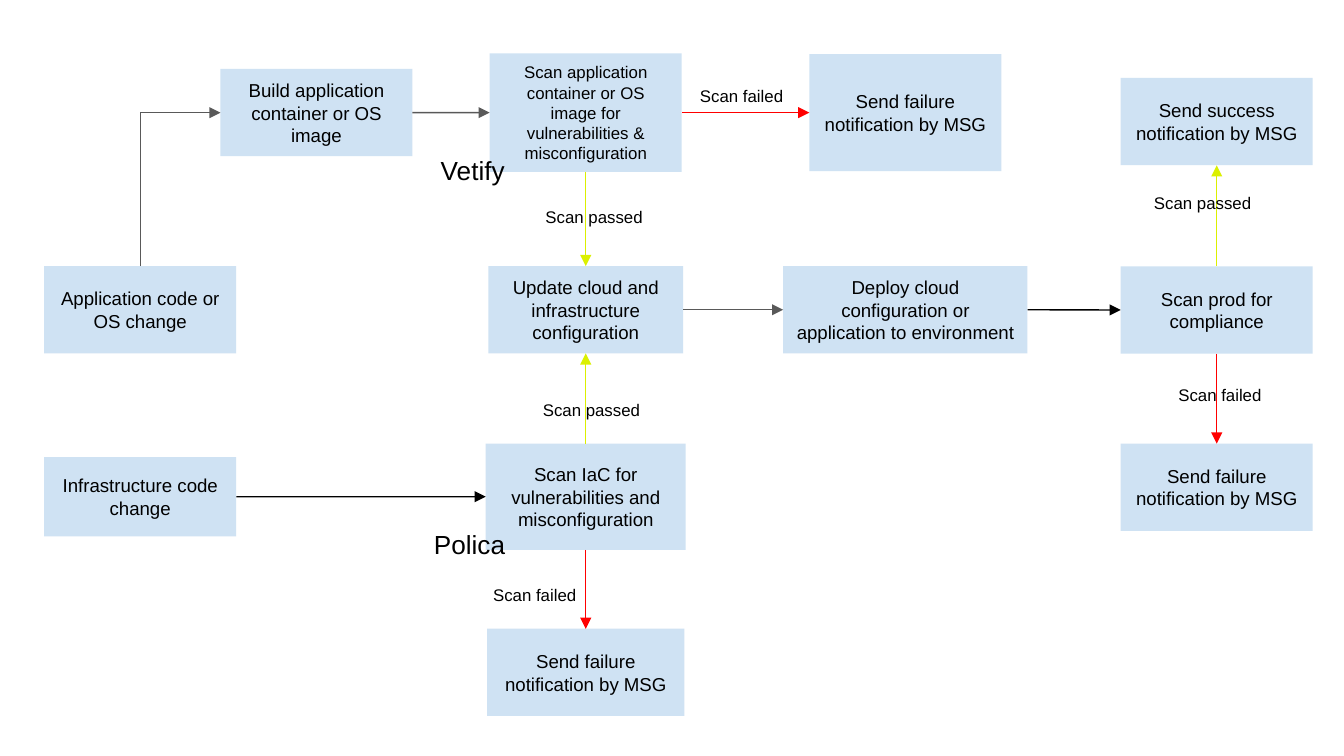
from dataclasses import dataclass
from typing import NamedTuple

from lxml.etree import SubElement
from pptx import Presentation
from pptx.dml.color import RGBColor
from pptx.enum.shapes import MSO_CONNECTOR, MSO_SHAPE
from pptx.enum.text import MSO_ANCHOR, PP_ALIGN
from pptx.oxml.ns import qn
from pptx.util import Cm, Pt


@dataclass(frozen=True)
class Theme:
    font: str = "Arial"
    text: str = "000000"
    step: str = "CFE2F3"
    flow: str = "595959"
    strong: str = "000000"
    passed: str = "DBF000"
    failed: str = "FF0000"
    line: float = 0.75
    small: int = 9
    body: int = 10
    tool: int = 14


class Box(NamedTuple):
    left: float
    top: float
    width: float
    height: float


THEME = Theme()
TOP, LEFT, BOTTOM, RIGHT = range(4)
STEP_WIDTH, STEP_HEIGHT = 3.63, 1.65
FAILURE = "Send failure notification by MSG"


def write(frame, text, size):
    para = frame.paragraphs[0]
    span = para.add_run()
    span.text = text
    span.font.name = THEME.font
    span.font.size = Pt(size)
    span.font.color.rgb = RGBColor.from_string(THEME.text)
    return para


def add_step(page, box, text, x, y, width=STEP_WIDTH, height=STEP_HEIGHT, size=THEME.body):
    step = page.shapes.add_shape(
        MSO_SHAPE.RECTANGLE,
        Cm(box.left + x - width / 2), Cm(box.top + y - height / 2),
        Cm(width), Cm(height),
    )
    step.shadow.inherit = False
    step.fill.solid()
    step.fill.fore_color.rgb = RGBColor.from_string(THEME.step)
    step.line.fill.background()
    frame = step.text_frame
    frame.word_wrap = True
    frame.vertical_anchor = MSO_ANCHOR.MIDDLE
    frame.margin_left = frame.margin_right = Cm(0.25)
    frame.margin_top = frame.margin_bottom = Cm(0.25)
    write(frame, text, size).alignment = PP_ALIGN.CENTER
    return step


def add_label(page, box, text, x, y, width, height=0.64, size=THEME.small):
    label = page.shapes.add_textbox(
        Cm(box.left + x), Cm(box.top + y), Cm(width), Cm(height))
    label.text_frame.word_wrap = True
    write(label.text_frame, text, size)


def connect(page, start, start_side, end, end_side, color, kind=MSO_CONNECTOR.STRAIGHT):
    arrow = page.shapes.add_connector(kind, 0, 0, 0, 0)
    arrow.begin_connect(start, start_side)
    arrow.end_connect(end, end_side)
    arrow.line.width = Pt(THEME.line)
    arrow.line.color.rgb = RGBColor.from_string(color)
    SubElement(arrow.line._get_or_add_ln(), qn("a:tailEnd"), type="triangle")
    SubElement(arrow._element.spPr, qn("a:effectLst"))
    return arrow


def connect_up_and_right(page, start, end, color):
    arrow = connect(page, start, TOP, end, LEFT, color, MSO_CONNECTOR.ELBOW)
    left, top, width, height = arrow.left, arrow.top, arrow.width, arrow.height
    arrow.left = left + (width - height) // 2
    arrow.top = top + (height - width) // 2
    arrow.width, arrow.height = height, width
    properties = arrow._element.spPr
    frame = properties.find(qn("a:xfrm"))
    frame.set("rot", "16200000")
    frame.set("flipV", "0")
    properties.find(qn("a:prstGeom")).set("prst", "bentConnector2")


def application_lane(page, box):
    middle = box.height / 2
    build = add_step(page, box, "Build application container or OS image", 1.81, middle)
    scan = add_step(
        page, box,
        "Scan application container or OS image for vulnerabilities & misconfiguration",
        6.9, middle, height=2.24, size=THEME.small)
    failure = add_step(page, box, FAILURE, 12.94, middle, height=2.21)
    connect(page, build, RIGHT, scan, LEFT, THEME.flow)
    connect(page, scan, RIGHT, failure, LEFT, THEME.failed)
    add_label(page, box, "Scan failed", 8.81, 0.49, 2.44)
    add_label(page, box, "Scan passed", 5.89, 2.77, 2.87)
    add_label(page, box, "Vetify", 3.91, 1.78, 2.2, 0.86, THEME.tool)
    return build, scan


def delivery_lane(page, box):
    middle = box.height / 2
    change = add_step(page, box, "Application code or OS change", 1.81, middle)
    update = add_step(
        page, box, "Update cloud and infrastructure configuration",
        10.23, middle, width=3.68)
    deploy = add_step(
        page, box, "Deploy cloud configuration or application to environment",
        16.27, middle, width=4.62)
    connect(page, update, RIGHT, deploy, LEFT, THEME.flow)
    return change, update, deploy


def infrastructure_lane(page, box):
    row = 1.01
    change = add_step(page, box, "Infrastructure code change", 1.81, row, height=1.5)
    scan = add_step(
        page, box, "Scan IaC for vulnerabilities and misconfiguration",
        10.23, row, width=3.78, height=2.01)
    failure = add_step(page, box, FAILURE, 10.23, 4.33, width=3.73)
    connect(page, change, RIGHT, scan, LEFT, THEME.strong)
    connect(page, scan, BOTTOM, failure, TOP, THEME.failed)
    add_label(page, box, "Scan passed", 9.17, -0.94, 2.87)
    add_label(page, box, "Scan failed", 8.23, 2.54, 2.44)
    add_label(page, box, "Polica", 7.11, 1.48, 3.05, 0.86, THEME.tool)
    return scan


def compliance_column(page, box):
    center = box.width / 2
    success = add_step(page, box, "Send success notification by MSG", center, 0.83)
    scan = add_step(page, box, "Scan prod for compliance", center, 4.39)
    failure = add_step(page, box, FAILURE, center, 7.74)
    connect(page, scan, TOP, success, BOTTOM, THEME.passed)
    connect(page, scan, BOTTOM, failure, TOP, THEME.failed)
    add_label(page, box, "Scan passed", 0.38, 2.04, 2.87)
    add_label(page, box, "Scan failed", 0.84, 5.67, 2.44)
    return scan


def pipeline_slide(deck):
    page = deck.slides.add_slide(deck.slide_layouts[6])
    build, image_scan = application_lane(page, Box(4.17, 1.01, 14.76, 2.24))
    change, update, deploy = delivery_lane(page, Box(0.84, 5.03, 18.59, 1.65))
    code_scan = infrastructure_lane(page, Box(0.84, 8.38, 12.13, 5.16))
    compliance = compliance_column(page, Box(21.18, 1.47, 3.63, 8.57))
    connect_up_and_right(page, change, build, THEME.flow)
    connect(page, image_scan, BOTTOM, update, TOP, THEME.passed)
    connect(page, code_scan, TOP, update, BOTTOM, THEME.passed)
    connect(page, deploy, RIGHT, compliance, LEFT, THEME.strong)


def main():
    deck = Presentation()
    deck.slide_width, deck.slide_height = Cm(25.4), Cm(14.29)
    pipeline_slide(deck)
    deck.save("out.pptx")


if __name__ == "__main__":
    main()
